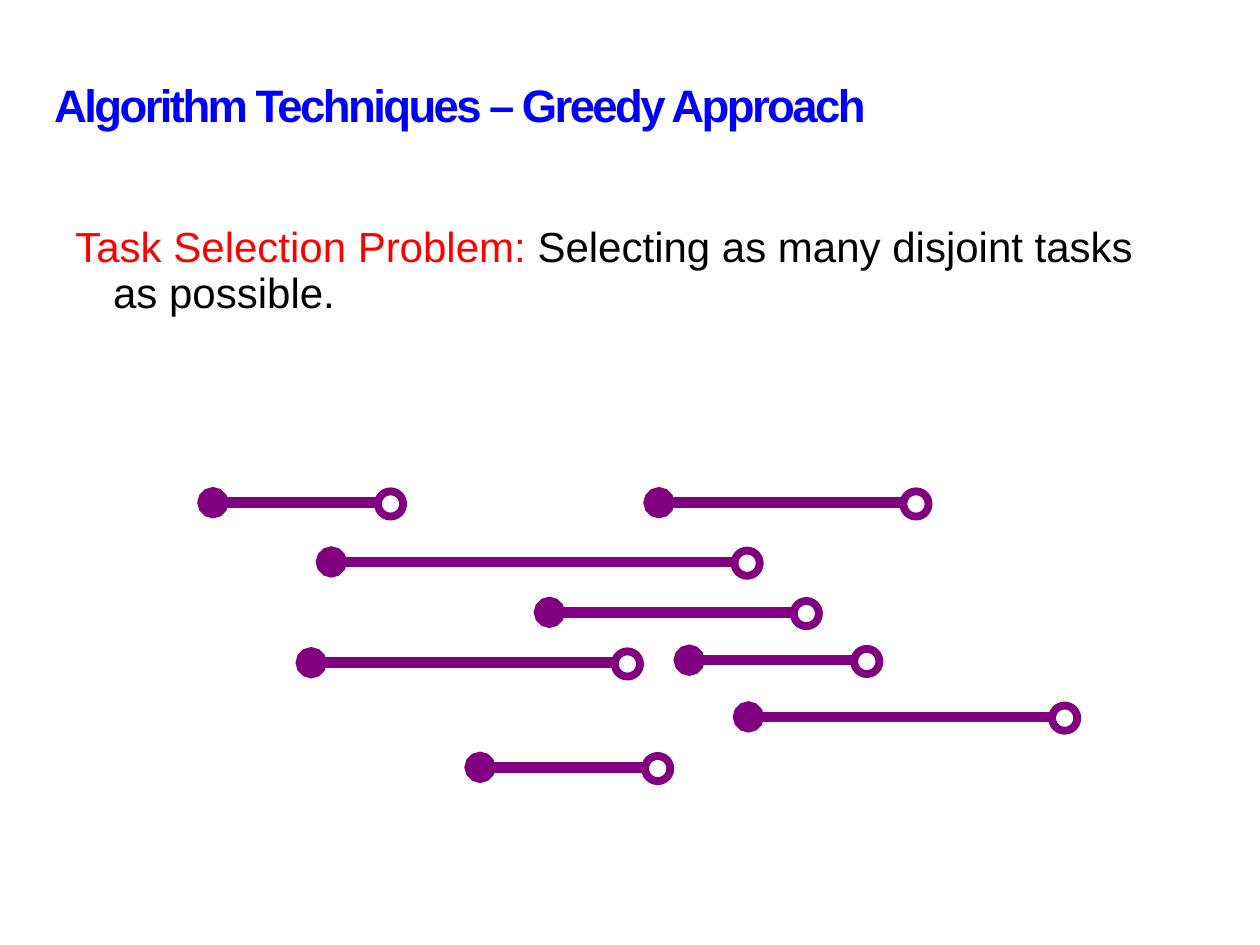
from lxml.etree import SubElement
from pptx import Presentation
from pptx.dml.color import RGBColor
from pptx.enum.shapes import MSO_CONNECTOR, MSO_SHAPE
from pptx.enum.text import MSO_ANCHOR, MSO_AUTO_SIZE, PP_ALIGN
from pptx.oxml.ns import qn
from pptx.util import Inches, Pt

COLORS = {"title": "0000FF", "term": "FF0000", "text": "000000", "task": "800080"}
TITLE = "Algorithm Techniques – Greedy Approach"
PROBLEM = [
    ("Task Selection Problem: ", "term"),
    ("Selecting as many disjoint tasks as possible.", "text"),
]
# start, finish, height on the slide
TASKS = [
    (2.63, 5.86, 4.46),
    (4.36, 6.33, 4.86),
    (3.81, 5.15, 6.09),
    (2.47, 4.91, 5.26),
    (5.94, 8.38, 5.69),
    (5.47, 6.81, 5.24),
    (5.23, 7.2, 3.99),
    (1.69, 3.03, 3.99),
]
RING_SIZE, RING_OVERLAP, RING_RISE = 0.2, 0.03, 0.09


def color(name):
    return RGBColor.from_string(COLORS[name])


def add_run(paragraph, words, size, color_name):
    run = paragraph.add_run()
    run.text = words
    run.font.name = "Arial"
    run.font.size = Pt(size)
    run.font.color.rgb = color(color_name)
    return run


def set_stroke(stroke, width):
    stroke.color.rgb = color("task")
    stroke.width = Pt(width)


def add_title(slide):
    title = slide.shapes.title
    title.left, title.top, title.width, title.height = map(Inches, (0.33, 0.17, 6.92, 1.25))
    frame = title.text_frame
    frame.auto_size = MSO_AUTO_SIZE.NONE
    frame.vertical_anchor = MSO_ANCHOR.MIDDLE
    heading = frame.paragraphs[0]
    heading.alignment = PP_ALIGN.LEFT
    heading.line_spacing = Pt(36)
    run = add_run(heading, TITLE, 26, "title")
    run.font.bold = True
    run.font._element.set("spc", "-150")


def add_problem(slide):
    frame = slide.shapes.add_textbox(*map(Inches, (0.5, 1.75, 9, 0.83))).text_frame
    frame.word_wrap = True
    statement = frame.paragraphs[0]
    statement.line_spacing = 0.9
    indents = statement._p.get_or_add_pPr()
    indents.set("marL", str(Inches(0.3)))
    indents.set("indent", str(Inches(-0.3)))
    for words, color_name in PROBLEM:
        add_run(statement, words, 24, color_name)


def add_task(slide, start, finish, y):
    """Draw a task interval, closed at its start and open at its finish."""
    task = slide.shapes.add_group_shape().shapes
    span = task.add_connector(MSO_CONNECTOR.STRAIGHT, *map(Inches, (start, y, finish, y)))
    set_stroke(span.line, 6)
    SubElement(span.line._get_or_add_ln(), qn("a:headEnd"), type="oval")
    SubElement(span._element.spPr, qn("a:effectLst"))

    ring_place = (finish - RING_OVERLAP, y - RING_RISE, RING_SIZE, RING_SIZE)
    ring = task.add_shape(MSO_SHAPE.OVAL, *map(Inches, ring_place))
    ring.shadow.inherit = False
    ring.fill.background()
    set_stroke(ring.line, 4.5)


def main():
    deck = Presentation()
    deck.slide_width, deck.slide_height = Inches(10), Inches(7.5)
    slide = deck.slides.add_slide(deck.slide_layouts[5])
    add_title(slide)
    add_problem(slide)
    for start, finish, y in TASKS:
        add_task(slide, start, finish, y)
    deck.save("out.pptx")


if __name__ == "__main__":
    main()
